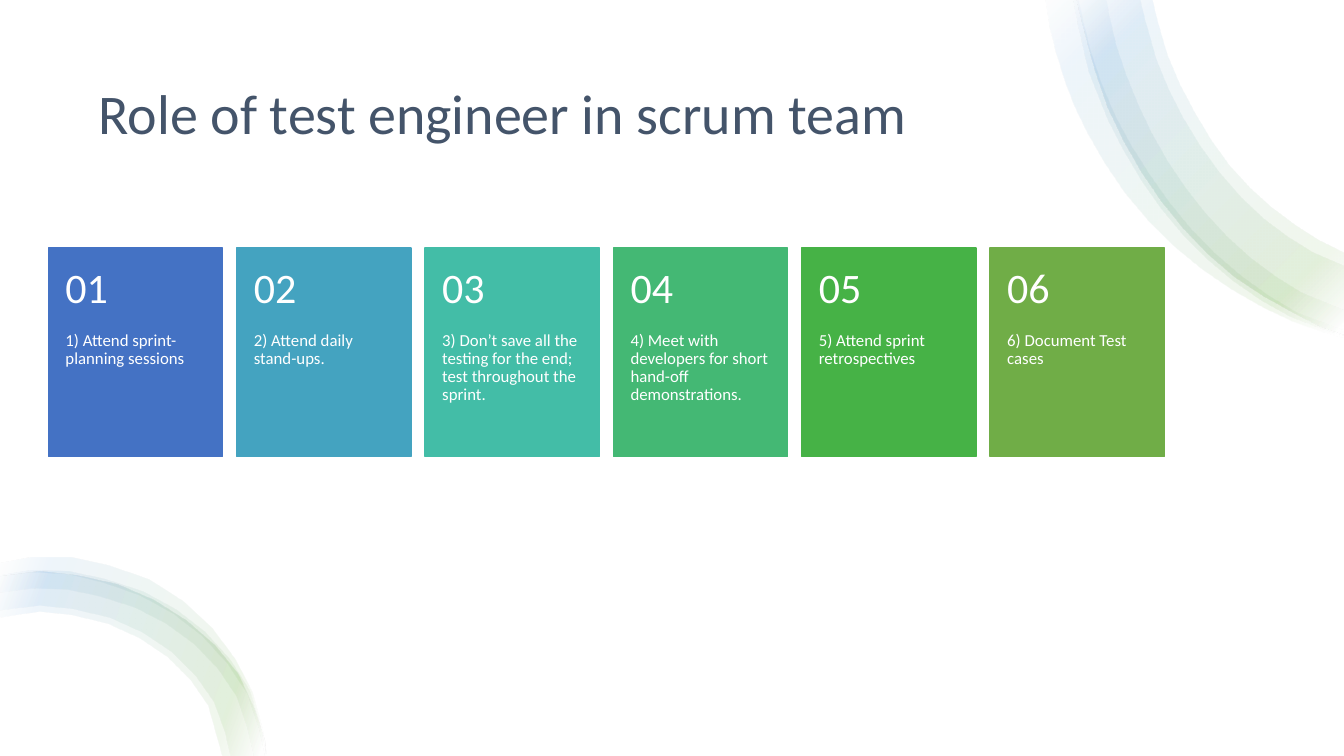
from math import dist

from lxml import etree
from pptx import Presentation
from pptx.dml.color import RGBColor
from pptx.enum.shapes import MSO_SHAPE
from pptx.enum.text import MSO_ANCHOR
from pptx.oxml.ns import qn
from pptx.util import Emu, Pt

RECTANGLE = MSO_SHAPE.RECTANGLE
TOP, MIDDLE = MSO_ANCHOR.TOP, MSO_ANCHOR.MIDDLE

# Content
TITLE = "Role of test engineer in scrum team"
WHITE = RGBColor(0xFF, 0xFF, 0xFF)
SLATE = RGBColor(0x44, 0x54, 0x6A)
BLUE = RGBColor(0x5B, 0x9B, 0xD5)
GREEN = RGBColor(0x70, 0xAD, 0x47)
CARDS = [
    ("1) Attend sprint-planning sessions", RGBColor(0x44, 0x72, 0xC4)),
    ("2) Attend daily stand-ups.", RGBColor(0x44, 0xA3, 0xC0)),
    ("3) Don’t save all the testing for the end; test throughout the sprint.",
     RGBColor(0x43, 0xBD, 0xA7)),
    ("4) Meet with developers for short hand-off demonstrations.",
     RGBColor(0x44, 0xB8, 0x74)),
    ("5) Attend sprint retrospectives", RGBColor(0x46, 0xB2, 0x46)),
    ("6) Document Test cases", GREEN),
]

# Ribbon bands: knots of the outer edge, then of the inner edge back again
SWOOP_OUTER = [(1333, 332), (1309, 324), (1223, 274), (1152, 200),
               (1099, 107), (1069, 4), (1067, -9)]
SWOOP_BANDS = [
    ([(1333, 335), (1282, 319), (1221, 287), (1165, 245), (1116, 192),
      (1078, 131), (1056, 80), (1041, 26), (1036, -9)],
     [(1068, -9), (1082, 52), (1106, 115), (1140, 173), (1181, 227),
      (1230, 273), (1286, 310), (1333, 328)]),
    (SWOOP_OUTER,
     [(1141, -9), (1158, 55), (1185, 112), (1219, 164), (1261, 206),
      (1307, 238), (1333, 251)]),
    ([(1333, 333), (1279, 314), (1223, 279), (1173, 233), (1132, 179),
      (1099, 119), (1080, 71), (1063, -9)],
     [(1096, -9), (1107, 44), (1129, 104), (1158, 160), (1195, 211),
      (1239, 255), (1290, 290), (1333, 308)]),
    (SWOOP_OUTER,
     [(1129, -9), (1147, 59), (1174, 118), (1210, 172), (1253, 217),
      (1301, 250), (1333, 264)]),
]
ARC_OUTER = [(263, 750), (262, 735), (236, 669), (185, 616), (117, 580),
             (40, 567), (0, 572)]
ARC_BANDS = [
    (ARC_OUTER,
     [(0, 613), (40, 607), (107, 619), (166, 652), (206, 700), (220, 750)]),
    (ARC_OUTER,
     [(0, 606), (40, 601), (109, 613), (170, 647), (212, 697), (228, 750)]),
    ([(263, 750), (247, 685), (203, 627), (142, 587), (69, 567), (31, 566),
      (0, 571)],
     [(0, 588), (33, 584), (67, 585), (134, 603), (192, 639), (234, 691),
      (251, 750)]),
    ([(264, 750), (250, 687), (210, 623), (148, 575), (71, 553), (31, 553),
      (0, 559)],
     [(0, 572), (32, 568), (69, 570), (139, 591), (200, 631), (245, 689),
      (262, 750)]),
]
RIBBON_STOPS = [(2, WHITE), (16, GREEN), (85, BLUE), (100, WHITE)]
RIBBON_OPACITY = 10

# Layout, 100 px to the inch
EMU_PER_PX = 9144
SLIDE_WIDTH, SLIDE_HEIGHT = 1333, 750
TITLE_BOX = (88, 50, 1157, 130)
FIRST_LEFT, LAST_LEFT, CARD_TOP = 48, 982, 246
CARD_WIDTH, CARD_HEIGHT, NUMBER_HEIGHT = 173, 207, 83
CURVE_SPACING = 35


def px(length):
    return Emu(round(length * EMU_PER_PX))


def add_text(slide, text, box, *, size, color, anchor=TOP, insets=(10, 5, 10, 5)):
    frame = slide.shapes.add_textbox(*map(px, box)).text_frame
    frame.word_wrap = True
    frame.vertical_anchor = anchor
    (frame.margin_left, frame.margin_top,
     frame.margin_right, frame.margin_bottom) = map(px, insets)
    paragraph = frame.paragraphs[0]
    paragraph.line_spacing = 0.9
    run = paragraph.add_run()
    run.text = text
    run.font.name = "Calibri"
    run.font.size = Pt(size)
    run.font.color.rgb = color


def add_rectangle(slide, box, color, outlined=True):
    shape = slide.shapes.add_shape(RECTANGLE, *map(px, box))
    shape.shadow.inherit = False
    shape.fill.solid()
    shape.fill.fore_color.rgb = color
    if outlined:
        shape.line.color.rgb = color
        shape.line.width = Pt(1)
    else:
        shape.line.fill.background()


def smooth(knots):
    """Points of a Catmull-Rom curve through the knots."""
    padded = [knots[0], *knots, knots[-1]]
    points = [knots[0]]
    for a, b, c, d in zip(padded, padded[1:], padded[2:], padded[3:]):
        steps = max(1, round(dist(b, c) / CURVE_SPACING))
        for step in range(1, steps + 1):
            t = step / steps
            points.append(tuple(
                q + t / 2 * (r - p + t * (2 * p - 5 * q + 4 * r - s
                                          + t * (3 * q - p - 3 * r + s)))
                for p, q, r, s in zip(a, b, c, d)))
    return points


def add_band(slide, outer, inner, angle):
    points = [(px(x), px(y)) for x, y in smooth(outer) + smooth(inner)]
    builder = slide.shapes.build_freeform(*points[0])
    builder.add_line_segments(points[1:], close=True)
    shape = builder.convert_to_shape()
    shape.shadow.inherit = False
    shape.line.fill.background()
    shape.fill.gradient()
    gradient = shape._element.spPr.find(qn("a:gradFill"))
    stops = gradient.find(qn("a:gsLst"))
    for stop in list(stops):
        stops.remove(stop)
    for position, color in RIBBON_STOPS:
        stop = etree.SubElement(stops, qn("a:gs"), pos=str(position * 1000))
        fill = etree.SubElement(stop, qn("a:srgbClr"), val=str(color))
        etree.SubElement(fill, qn("a:alpha"), val=str(RIBBON_OPACITY * 1000))
    gradient.find(qn("a:lin")).set("ang", str(angle * 60000))


def main():
    presentation = Presentation()
    presentation.slide_width = px(SLIDE_WIDTH)
    presentation.slide_height = px(SLIDE_HEIGHT)
    slide = presentation.slides.add_slide(presentation.slide_layouts[6])

    # Background and title
    add_rectangle(slide, (0, 0, SLIDE_WIDTH, SLIDE_HEIGHT), WHITE, outlined=False)
    add_text(slide, TITLE, TITLE_BOX, size=40, color=SLATE, anchor=MIDDLE)

    # Corner ribbons
    for bands, angle in ((SWOOP_BANDS, 225), (ARC_BANDS, 200)):
        for outer, inner in bands:
            add_band(slide, outer, inner, angle)

    # Numbered cards
    pitch = (LAST_LEFT - FIRST_LEFT) / (len(CARDS) - 1)
    for index, (text, color) in enumerate(CARDS):
        left = FIRST_LEFT + index * pitch
        add_rectangle(slide, (left, CARD_TOP, CARD_WIDTH, CARD_HEIGHT), color)
        add_text(slide, text,
                 (left, CARD_TOP + NUMBER_HEIGHT, CARD_WIDTH,
                  CARD_HEIGHT - NUMBER_HEIGHT),
                 size=12, color=WHITE, insets=(17, 0, 17, 36))
        add_text(slide, f"{index + 1:02}",
                 (left, CARD_TOP, CARD_WIDTH, NUMBER_HEIGHT),
                 size=30, color=WHITE, anchor=MIDDLE, insets=(17, 18, 17, 18))

    presentation.save("out.pptx")


if __name__ == "__main__":
    main()
